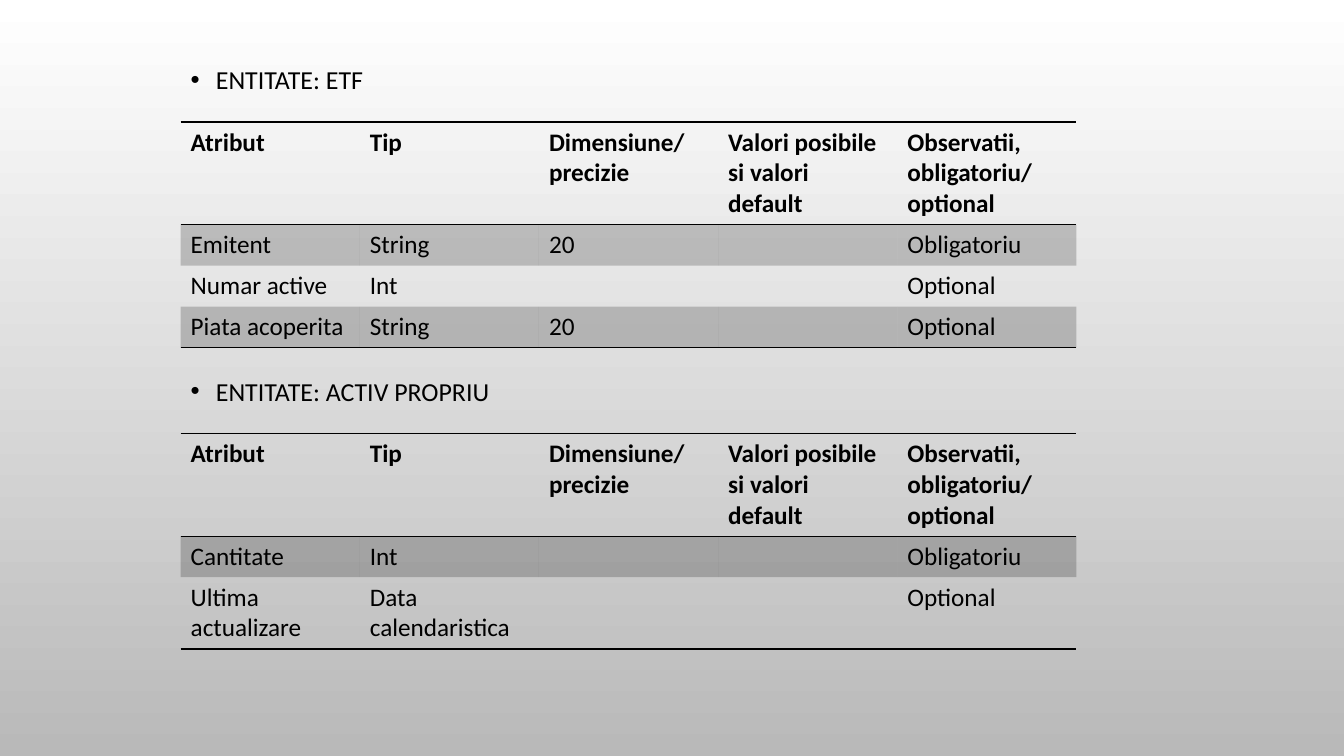
from dataclasses import dataclass

from pptx import Presentation
from pptx.dml.color import RGBColor as Rgb
from pptx.enum.text import MSO_ANCHOR as Anchor, MSO_AUTO_SIZE as Fit
from pptx.oxml.ns import qn
from pptx.util import Pt
from lxml.etree import SubElement as Sub, Element as Node


@dataclass(frozen=True)
class Theme:
    font: str = "Calibri"
    ink: str = "000000"
    top: str = "FFFFFF"
    base: str = "B9B9B9"
    head: float = 18.5
    cell: float = 18
    shade: int = 20000
    grid: str = "{2D5ABB26-0587-4C30-8999-92F81FD0307C}"


LEFT = 129
WIDE = 702
COL = 128
ROW = 29.3
LINE = 22
TITLES = ("Atribut", "Tip", "Dimensiune/ precizie",
          "Valori posibile si valori default",
          "Observatii, obligatoriu/ optional")
PARTS = (
    ("ENTITATE: ETF", 39.6, (1, 1, 1), (
        ("Emitent", "String", "20", "", "Obligatoriu"),
        ("Numar active", "Int", "", "", "Optional"),
        ("Piata acoperita", "String", "20", "", "Optional"))),
    ("ENTITATE: ACTIV PROPRIU", 262.2, (1, 2), (
        ("Cantitate", "Int", "", "", "Obligatoriu"),
        ("Ultima actualizare", "Data calendaristica", "", "", "Optional"))),
)


def write(frame, text, font, size, ink, bold=False):
    para = frame.paragraphs[0]
    run = para.add_run()
    run.text = text
    run.font.name = font
    run.font.size = Pt(size)
    run.font.bold = bold
    run.font.color.rgb = Rgb.from_string(ink)
    return para


class Page:
    def __init__(self, deck, theme):
        self.theme = theme
        self.slide = deck.slides.add_slide(deck.slide_layouts[3])
        title = self.slide.shapes.title.element
        title.getparent().remove(title)
        self.slots = iter(list(self.slide.placeholders))

    def back(self):
        fill = self.slide.background.fill
        fill.gradient()
        fill.gradient_angle = 270
        for stop, tone in zip(fill.gradient_stops,
                              (self.theme.top, self.theme.base)):
            stop.color.rgb = Rgb.from_string(tone)

    def bullet(self, text, y):
        look = self.theme
        box = next(self.slots)
        box.left, box.top = Pt(LEFT), Pt(y)
        box.width, box.height = Pt(WIDE), Pt(32.4)
        frame = box.text_frame
        frame.word_wrap = True
        frame.auto_size = Fit.NONE
        frame.vertical_anchor = Anchor.TOP
        para = write(frame, text, look.font, look.head, look.ink)
        para.line_spacing = 1.1
        para.space_before = Pt(10)
        props = para._p.get_or_add_pPr()
        props.set("marL", str(Pt(18)))
        props.set("indent", str(Pt(-18)))
        tone = Sub(props, qn("a:buClr"))
        Sub(tone, qn("a:srgbClr"), val=look.ink)
        Sub(props, qn("a:buFont"), typeface="Arial")
        Sub(props, qn("a:buChar"), char="•")

    def rule(self, cell, side):
        line = Node(qn("a:" + side), w=str(Pt(1)))
        fill = Sub(line, qn("a:solidFill"))
        Sub(fill, qn("a:srgbClr"), val=self.theme.ink)
        cell._tc.get_or_add_tcPr().insert(0, line)

    def tint(self, cell, dark):
        if not dark:
            cell.fill.background()
            return
        cell.fill.solid()
        cell.fill.fore_color.rgb = Rgb.from_string(self.theme.ink)
        tone = cell._tc.tcPr.find(".//" + qn("a:srgbClr"))
        Sub(tone, qn("a:alpha"), val=str(self.theme.shade))

    def table(self, data, lines, y):
        look = self.theme
        highs = [ROW + (n - 1) * LINE for n in lines]
        grid = self.slide.shapes.add_table(
            len(data), len(TITLES), Pt(LEFT), Pt(y),
            Pt(COL * len(TITLES)), Pt(sum(highs))).table
        grid.horz_banding = False
        grid._tbl.tblPr.find(qn("a:tableStyleId")).text = look.grid
        for col in grid.columns:
            col.width = Pt(COL)
        last = len(data) - 1
        for r, (row, high) in enumerate(zip(data, highs)):
            grid.rows[r].height = Pt(high)
            for c, text in enumerate(row):
                cell = grid.cell(r, c)
                self.tint(cell, r % 2 == 1)
                if r in (0, last):
                    self.rule(cell, "lnB")
                if r == 0:
                    self.rule(cell, "lnT")
                if text:
                    write(cell.text_frame, text, look.font, look.cell,
                          look.ink, bold=r == 0)


def main():
    deck = Presentation()
    deck.slide_width, deck.slide_height = Pt(960), Pt(540)
    page = Page(deck, Theme())
    page.back()
    for name, y, lines, rows in PARTS:
        page.bullet(name, y)
        page.table((TITLES, *rows), (3, *lines), y + 47.5)
    deck.save("out.pptx")


if __name__ == "__main__":
    main()
